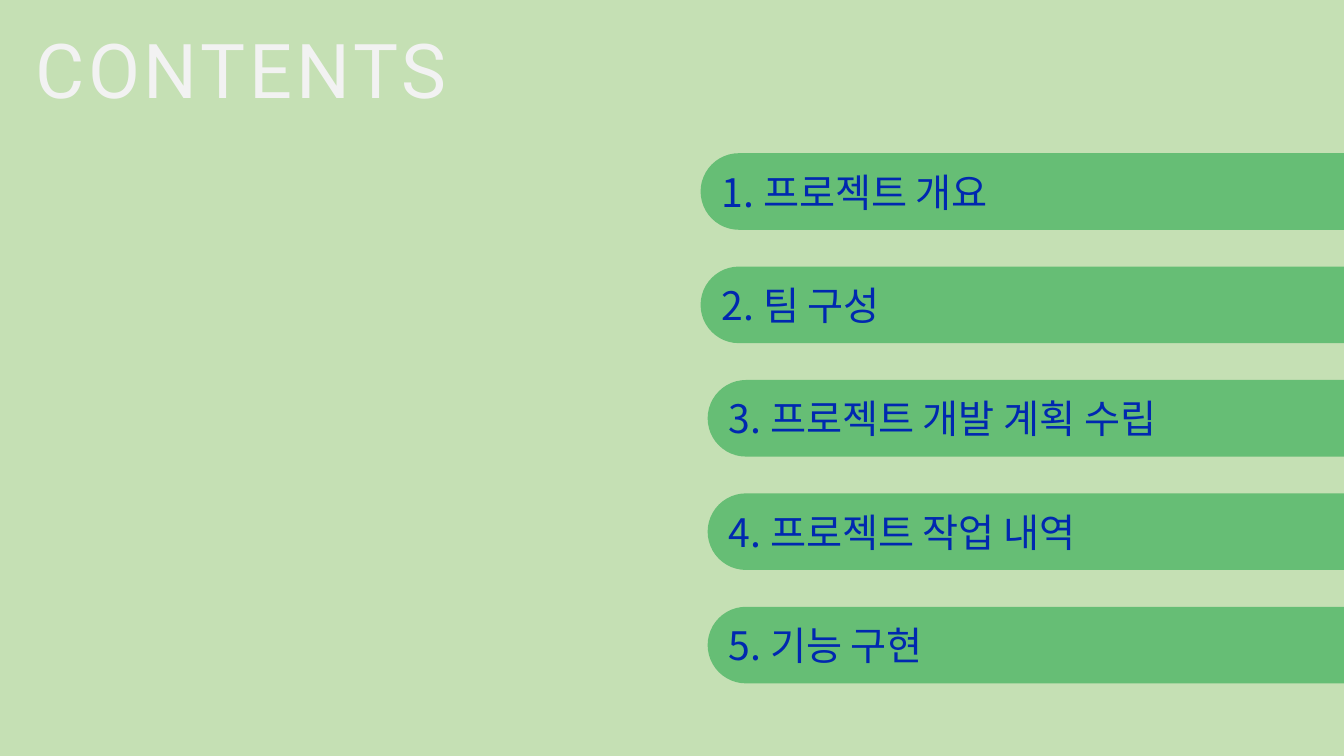
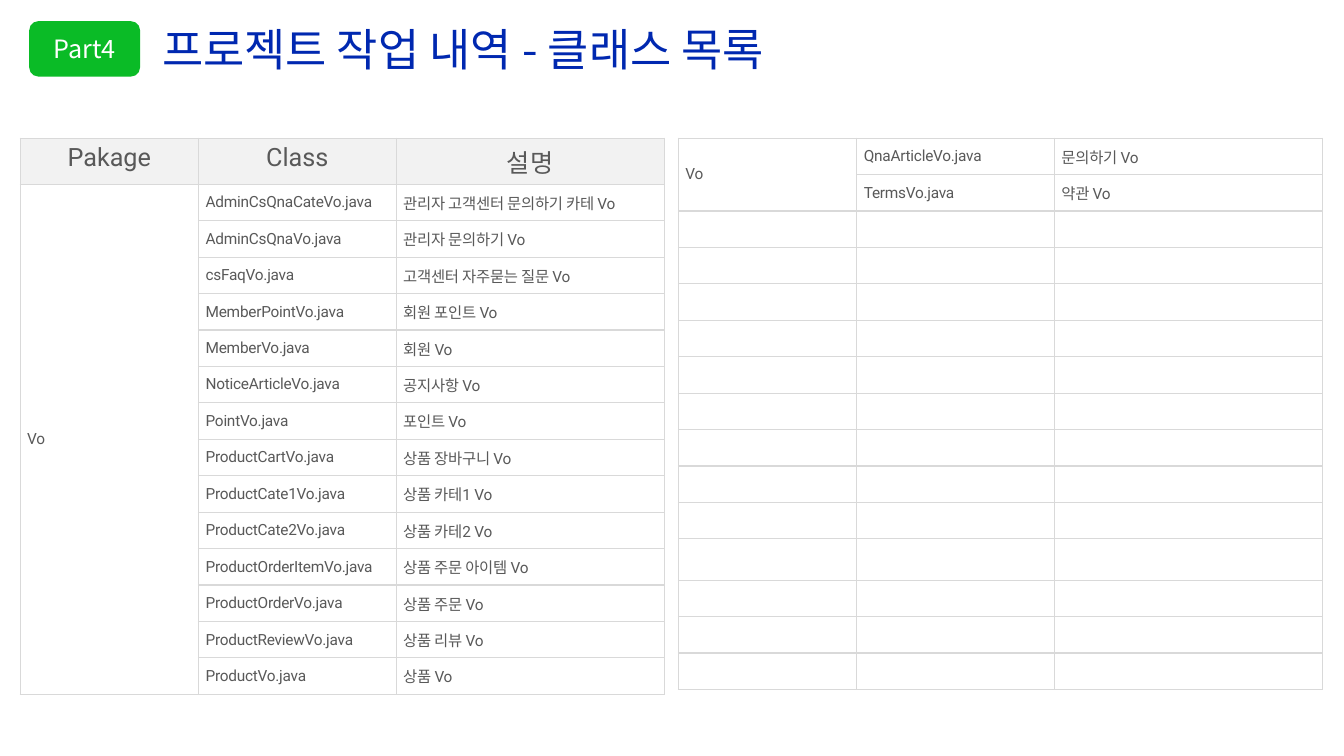
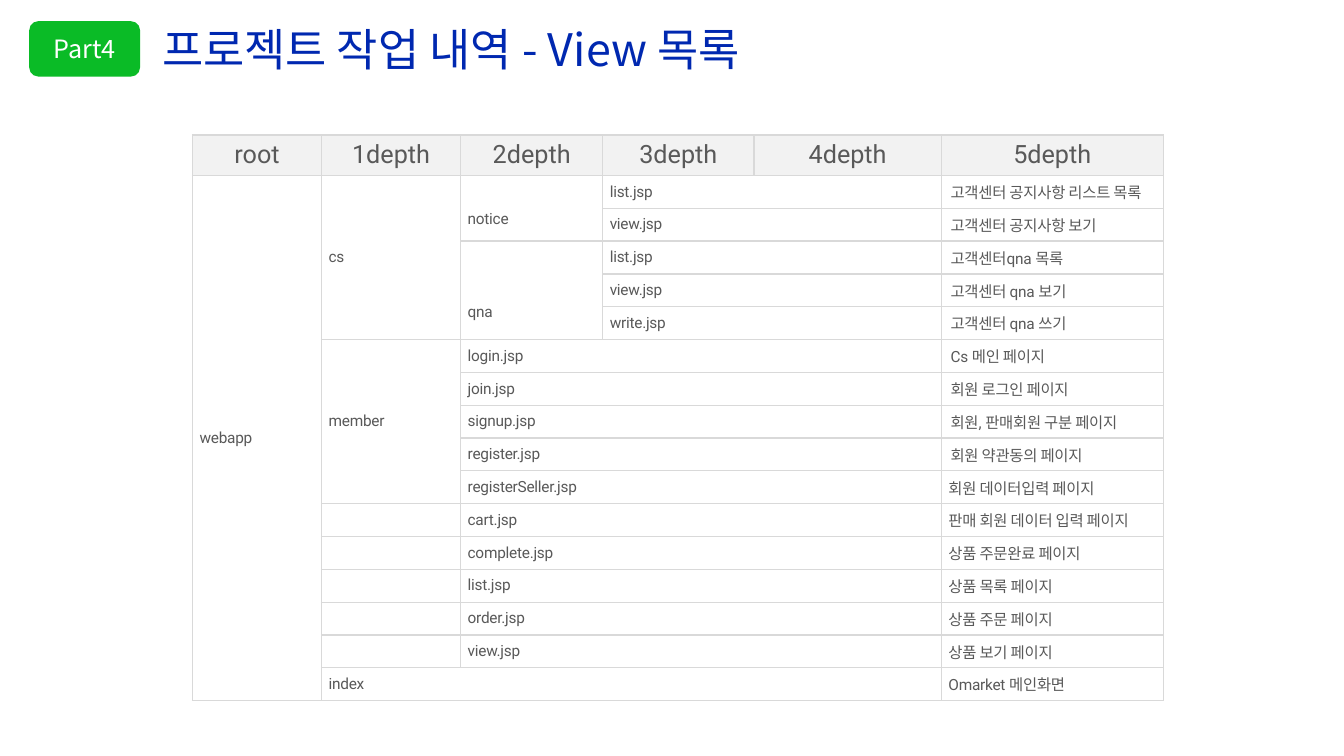
from lxml.etree import SubElement
from pptx import Presentation
from pptx.dml.color import RGBColor
from pptx.enum.shapes import MSO_SHAPE
from pptx.enum.text import MSO_ANCHOR, PP_ALIGN
from pptx.oxml.ns import qn
from pptx.util import Inches, Pt

# Shared look
COLORS = {
    "background": "C5E0B4", "pill": "66BE75", "badge": "0ABB26",
    "title": "0028B0", "pale": "F2F2F2", "white": "FFFFFF",
    "body": "595959", "border": "D9D9D9",
}
KOREAN, LATIN = "Noto Sans CJK KR", "Roboto"

# The slide is a grid of 160 columns and 90 rows of square cells
WIDTH, HEIGHT = Inches(13.333), Inches(7.5)
CELL = HEIGHT / 90
TITLE_BOX = (18.12, 2.4, 139.56, 7.68)
BADGE_BOX = (3.48, 2.52, 13.2, 6.6)


def write_text(frame, text, size, color, font=KOREAN, align=PP_ALIGN.LEFT,
               before=0, left=0, first=0, tracking=0, line=1.0):
    frame.word_wrap = True
    paragraph = frame.paragraphs[0]
    paragraph.alignment = align
    paragraph.space_before = Pt(before)
    paragraph.line_spacing = line
    properties = paragraph._p.get_or_add_pPr()
    properties.set("marL", str(Inches(left)))
    properties.set("indent", str(Inches(first)))
    run = paragraph.add_run()
    run.text = text
    run.font.size = Pt(size)
    run.font.name = font
    run.font.color.rgb = RGBColor.from_string(COLORS[color])
    run_properties = run._r.get_or_add_rPr()
    run_properties.set("spc", str(int(tracking * 100)))
    SubElement(run_properties, qn("a:ea"), typeface=KOREAN)


def add_grid_table(slide, left, top, columns, heights, rows, header_anchor=None,
                   last_first=0, drops=None):
    """In rows, "<" joins a cell to its left neighbour and "^" to the one above."""
    drops = drops or {}
    table = slide.shapes.add_table(
        len(rows), len(columns), int(left * CELL), int(top * CELL),
        int(sum(columns) * CELL), int(sum(heights) * CELL)).table
    table.first_row = table.horz_banding = False
    for column, width in zip(table.columns, columns):
        column.width = int(width * CELL)
    for row, height in zip(table.rows, heights):
        row.height = int(height * CELL)

    for r, row in enumerate(rows):
        for c, text in enumerate(row):
            cell = table.cell(r, c)
            # Borders come before the fill
            cell_properties = cell._tc.get_or_add_tcPr()
            for side in ("lnL", "lnR", "lnT", "lnB"):
                border = SubElement(cell_properties, qn(f"a:{side}"), w=str(Pt(1)))
                fill = SubElement(border, qn("a:solidFill"))
                SubElement(fill, qn("a:srgbClr"), val=COLORS["border"])
            if header_anchor and r == 0:
                cell.fill.solid()
                cell.fill.fore_color.rgb = RGBColor.from_string(COLORS["pale"])
                cell.vertical_anchor = header_anchor
                write_text(cell.text_frame, text, 18, "body", LATIN, PP_ALIGN.CENTER)
                continue
            cell.fill.background()
            cell.vertical_anchor = MSO_ANCHOR.MIDDLE
            cell.margin_left = cell.margin_right = cell.margin_bottom = 0
            cell.margin_top = Pt(drops.get(text, 0))
            if text in ("", "<", "^"):
                continue
            first = last_first if c == len(columns) - 1 and r < 10 else 0
            write_text(cell.text_frame, text, 11, "body", LATIN, before=3.2,
                       left=0.07, first=first, tracking=-0.2)
            # Span of the cell
            right, bottom = c, r
            while right + 1 < len(columns) and row[right + 1] == "<":
                right += 1
            while bottom + 1 < len(rows) and rows[bottom + 1][c] == "^":
                bottom += 1
            if (right, bottom) != (c, r):
                cell.merge(table.cell(bottom, right))


presentation = Presentation()
presentation.slide_width, presentation.slide_height = WIDTH, HEIGHT
blank = presentation.slide_layouts[6]

# Contents slide
slide = presentation.slides.add_slide(blank)
slide.background.fill.solid()
slide.background.fill.fore_color.rgb = RGBColor.from_string(COLORS["background"])
heading = slide.shapes.add_textbox(*(int(n * CELL) for n in (3, 2.4, 60, 11.5)))
heading.text_frame.vertical_anchor = MSO_ANCHOR.MIDDLE
write_text(heading.text_frame, "CONTENTS", 54, "pale", LATIN, tracking=2.8)

chapters = ["프로젝트 개요", "팀 구성", "프로젝트 개발 계획 수립", "프로젝트 작업 내역", "기능 구현"]
for index, chapter in enumerate(chapters):
    left = 83.4 if index < 2 else 84.24
    box = (left, 18.24 + index * 13.5, 104.16, 9.12)
    pill = slide.shapes.add_shape(MSO_SHAPE.ROUNDED_RECTANGLE, *(int(n * CELL) for n in box))
    pill.adjustments[0] = 0.5
    pill.shadow.inherit = False
    pill.fill.solid()
    pill.fill.fore_color.rgb = RGBColor.from_string(COLORS["pill"])
    pill.line.fill.background()
    pill.text_frame.vertical_anchor = MSO_ANCHOR.MIDDLE
    write_text(pill.text_frame, f"{index + 1}. {chapter}", 28, "title")

# Class list
classes = [
    ("AdminCsQnaCateVo.java", "관리자 고객센터 문의하기 카테 Vo"),
    ("AdminCsQnaVo.java", "관리자 문의하기 Vo"),
    ("csFaqVo.java", "고객센터 자주묻는 질문 Vo"),
    ("MemberPointVo.java", "회원 포인트 Vo"),
    ("MemberVo.java", "회원 Vo"),
    ("NoticeArticleVo.java", "공지사항 Vo"),
    ("PointVo.java", "포인트 Vo"),
    ("ProductCartVo.java", "상품 장바구니 Vo"),
    ("ProductCate1Vo.java", "상품 카테1 Vo"),
    ("ProductCate2Vo.java", "상품 카테2 Vo"),
    ("ProductOrderItemVo.java", "상품 주문 아이템 Vo"),
    ("ProductOrderVo.java", "상품 주문 Vo"),
    ("ProductReviewVo.java", "상품 리뷰 Vo"),
    ("ProductVo.java", "상품 Vo"),
    ("QnaArticleVo.java", "문의하기 Vo"),
    ("TermsVo.java", "약관 Vo"),
]
class_rows = [("^", *pair) for pair in classes]
class_rows[0] = ("Vo", *classes[0])
class_rows[14] = ("Vo", *classes[14])
class_columns = [21.24, 23.52, 31.92]
class_tables = [
    dict(left=2.4, top=16.44, columns=class_columns, heights=[5.5] + [4.34] * 14,
         rows=[("Pakage", "Class", "설명")] + class_rows[:14],
         header_anchor=MSO_ANCHOR.TOP),
    dict(left=80.76, top=16.44, columns=class_columns,
         heights=[4.34] * 11 + [4.92] + [4.34] * 3,
         rows=class_rows[14:] + [("", "", "")] * 13),
]

# View list
view_rows = [
    ("root", "1depth", "2depth", "3depth", "4depth", "5depth"),
    ("webapp", "cs", "notice", "list.jsp", "<", "고객센터 공지사항 리스트 목록"),
    ("^", "^", "^", "view.jsp", "<", "고객센터 공지사항 보기"),
    ("^", "^", "qna", "list.jsp", "<", "고객센터qna 목록"),
    ("^", "^", "^", "view.jsp", "<", "고객센터 qna 보기"),
    ("^", "^", "^", "write.jsp", "<", "고객센터 qna 쓰기"),
    ("^", "member", "login.jsp", "<", "<", "Cs 메인 페이지"),
    ("^", "^", "join.jsp", "<", "<", "회원 로그인 페이지"),
    ("^", "^", "signup.jsp", "<", "<", "회원, 판매회원 구분 페이지"),
    ("^", "^", "register.jsp", "<", "<", "회원 약관동의 페이지"),
    ("^", "^", "registerSeller.jsp", "<", "<", "회원 데이터입력 페이지"),
    ("^", "", "cart.jsp", "<", "<", "판매 회원 데이터 입력 페이지"),
    ("^", "", "complete.jsp", "<", "<", "상품 주문완료 페이지"),
    ("^", "", "list.jsp", "<", "<", "상품 목록 페이지"),
    ("^", "", "order.jsp", "<", "<", "상품 주문 페이지"),
    ("^", "", "view.jsp", "<", "<", "상품 보기 페이지"),
    ("^", "index", "<", "<", "<", "Omarket 메인화면"),
]
view_tables = [
    dict(left=22.92, top=16.08, columns=[15.36, 16.56, 16.92, 18, 22.32, 26.4],
         heights=[4.68] + [3.91] * 16, rows=view_rows,
         header_anchor=MSO_ANCHOR.MIDDLE, last_first=0.02,
         drops={"notice": 16, "qna": 32}),
]

# Table slides with the shared title and badge
for subject, tables in (("클래스 목록", class_tables), ("View 목록", view_tables)):
    slide = presentation.slides.add_slide(blank)
    title = slide.shapes.add_textbox(*(int(n * CELL) for n in TITLE_BOX))
    title.text_frame.vertical_anchor = MSO_ANCHOR.MIDDLE
    write_text(title.text_frame, f"프로젝트 작업 내역 - {subject}", 32, "title", line=0.9)

    badge = slide.shapes.add_shape(
        MSO_SHAPE.ROUNDED_RECTANGLE, *(int(n * CELL) for n in BADGE_BOX))
    badge.shadow.inherit = False
    badge.fill.solid()
    badge.fill.fore_color.rgb = RGBColor.from_string(COLORS["badge"])
    badge.line.fill.background()
    badge.text_frame.vertical_anchor = MSO_ANCHOR.MIDDLE
    write_text(badge.text_frame, "Part4", 18, "white", align=PP_ALIGN.CENTER)

    for table in tables:
        add_grid_table(slide, **table)

presentation.save("out.pptx")
